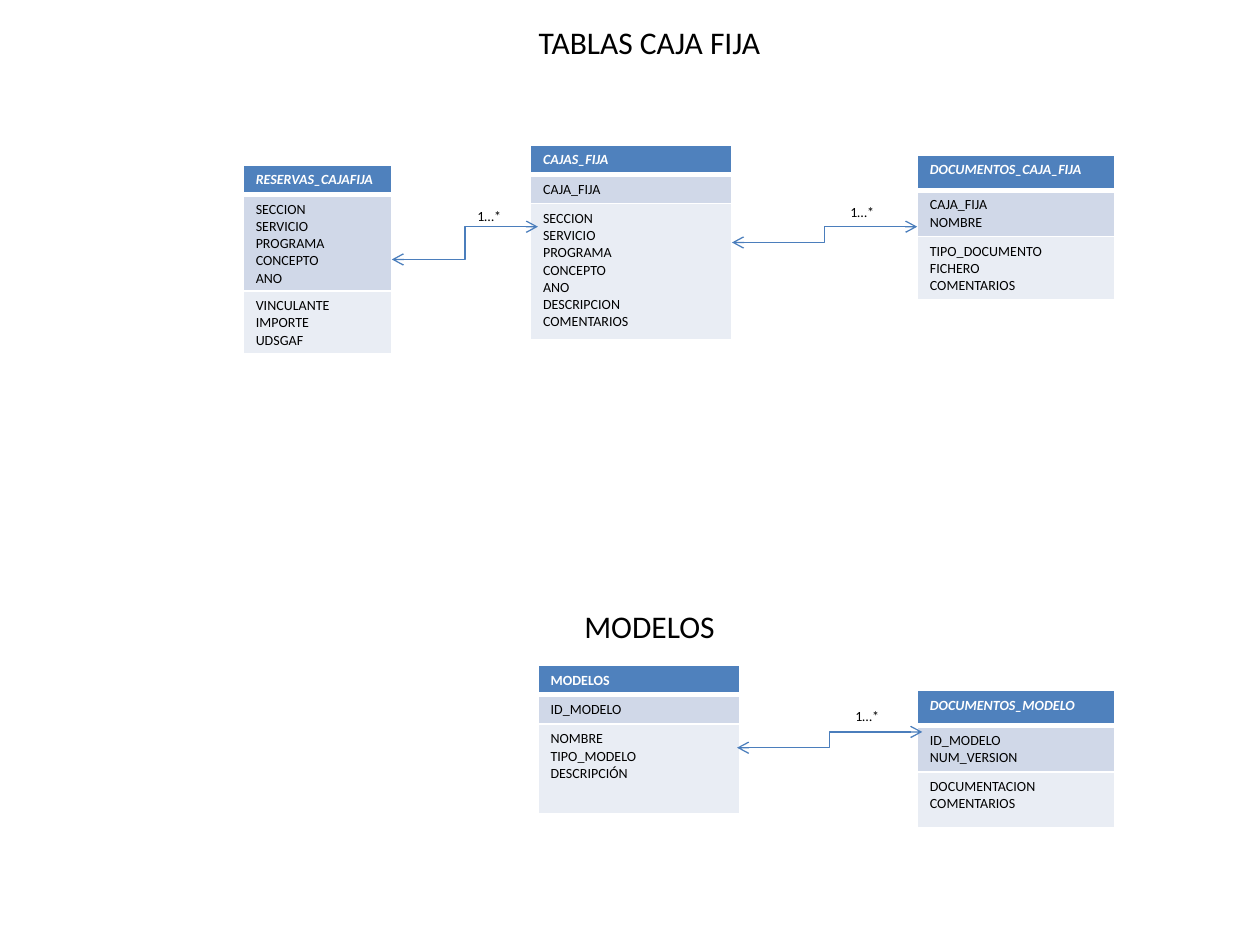
from lxml import etree
from pptx import Presentation
from pptx.dml.color import RGBColor
from pptx.enum import shapes, text
from pptx.oxml import ns
from pptx.util import Inches, Pt

COLUMNS, ROWS = 100, 75
FONT = "Calibri"
BAND_COLORS = ["4F81BD", "D0D8E8", "E9EDF4"]

presentation = Presentation()
presentation.slide_width = Inches(10)
presentation.slide_height = Inches(7.5)
slide = presentation.slides.add_slide(presentation.slide_layouts[6])


def across(columns):
    return round(presentation.slide_width * columns / COLUMNS)


def down(rows):
    return round(presentation.slide_height * rows / ROWS)


def color(value):
    return RGBColor.from_string(value)


def write(text_frame, lines, size, ink="000000", bold=False, italic=False, align=None):
    text_frame.text = "\n".join(lines)
    for paragraph in text_frame.paragraphs:
        paragraph.alignment = align
        font = paragraph.font
        font.name, font.size, font.bold, font.italic = FONT, Pt(size), bold, italic
        font.color.rgb = color(ink)


def add_text(left, top, width, height, line, size, align=None):
    shape = slide.shapes.add_textbox(across(left), down(top), across(width), down(height))
    shape.text_frame.word_wrap = True
    shape.text_frame.auto_size = text.MSO_AUTO_SIZE.SHAPE_TO_FIT_TEXT
    write(shape.text_frame, [line], size, align=align)


def add_title(top, line):
    add_text(11.4, top, 80.3, 4, line, 18, text.PP_ALIGN.CENTER)


def set_borders(cell, row):
    properties = cell._tc.get_or_add_tcPr()
    widths = {"lnL": 1, "lnR": 1, "lnT": 3 if row == 1 else 1, "lnB": 3 if row == 0 else 1}
    for position, (side, width) in enumerate(widths.items()):
        border = etree.Element(ns.qn(f"a:{side}"), w=str(Pt(width)))
        fill = etree.SubElement(border, ns.qn("a:solidFill"))
        etree.SubElement(fill, ns.qn("a:srgbClr"), val="FFFFFF")
        properties.insert(position, border)


def add_entity(left, top, width, heights, name, keys, fields, italic=True):
    frame = slide.shapes.add_table(3, 1, across(left), down(top), across(width), down(sum(heights)))
    table = frame.table
    for row, (height, lines) in enumerate(zip(heights, [[name], keys, fields])):
        table.rows[row].height = down(height)
        cell = table.cell(row, 0)
        cell.fill.solid()
        cell.fill.fore_color.rgb = color(BAND_COLORS[row])
        set_borders(cell, row)
        header = row == 0
        write(cell.text_frame, lines, 8, "FFFFFF" if header else "000000",
              header, header and italic)


def add_relation(left, top, width, height, label_left, label_rise):
    connector = slide.shapes.add_connector(
        shapes.MSO_CONNECTOR.ELBOW, across(left), down(top + height), across(left + width), down(top))
    connector.line.color.rgb = color("4B7EBC")
    connector.line.width = Pt(0.75)
    line = connector.line._get_or_add_ln()
    for end in ("headEnd", "tailEnd"):
        etree.SubElement(line, ns.qn(f"a:{end}"), type="arrow")
    etree.SubElement(connector._element.spPr, ns.qn("a:effectLst"))
    add_text(left + label_left, top - label_rise, 4.7, 2.4, "1…*", 8)


def add_cash_tables():
    add_title(1.3, "TABLAS CAJA FIJA")
    budget = ["SECCION", "SERVICIO", "PROGRAMA", "CONCEPTO", "ANO"]
    add_entity(19.3, 13.1, 11.8, [2.3, 7.6, 4.9], "RESERVAS_CAJAFIJA",
               budget, ["VINCULANTE", "IMPORTE", "UDSGAF"])
    add_entity(42.1, 11.5, 16, [2.3, 2.3, 10.8], "CAJAS_FIJA",
               ["CAJA_FIJA"], budget + ["DESCRIPCION", "COMENTARIOS"])
    add_entity(72.8, 12.3, 15.7, [2.8, 3.6, 4.9], "DOCUMENTOS_CAJA_FIJA",
               ["CAJA_FIJA", "NOMBRE"], ["TIPO_DOCUMENTO", "FICHERO", "COMENTARIOS"])
    add_relation(58.1, 18, 14.7, 1.25, 8.4, 2.3)
    add_relation(31.1, 18, 11.6, 2.6, 5.8, 2)


def add_model_tables():
    add_title(47.7, "MODELOS")
    add_entity(42.7, 52.8, 16, [2.3, 2.3, 7.1], "MODELOS",
               ["ID_MODELO"], ["NOMBRE", "TIPO_MODELO", "DESCRIPCIÓN"], italic=False)
    add_entity(72.8, 54.8, 15.7, [2.8, 3.6, 4.4], "DOCUMENTOS_MODELO",
               ["ID_MODELO", "NUM_VERSION"], ["DOCUMENTACION", "COMENTARIOS"])
    add_relation(58.5, 58.1, 14.7, 1.25, 8.4, 2.4)


add_cash_tables()
add_model_tables()
presentation.save("out.pptx")
